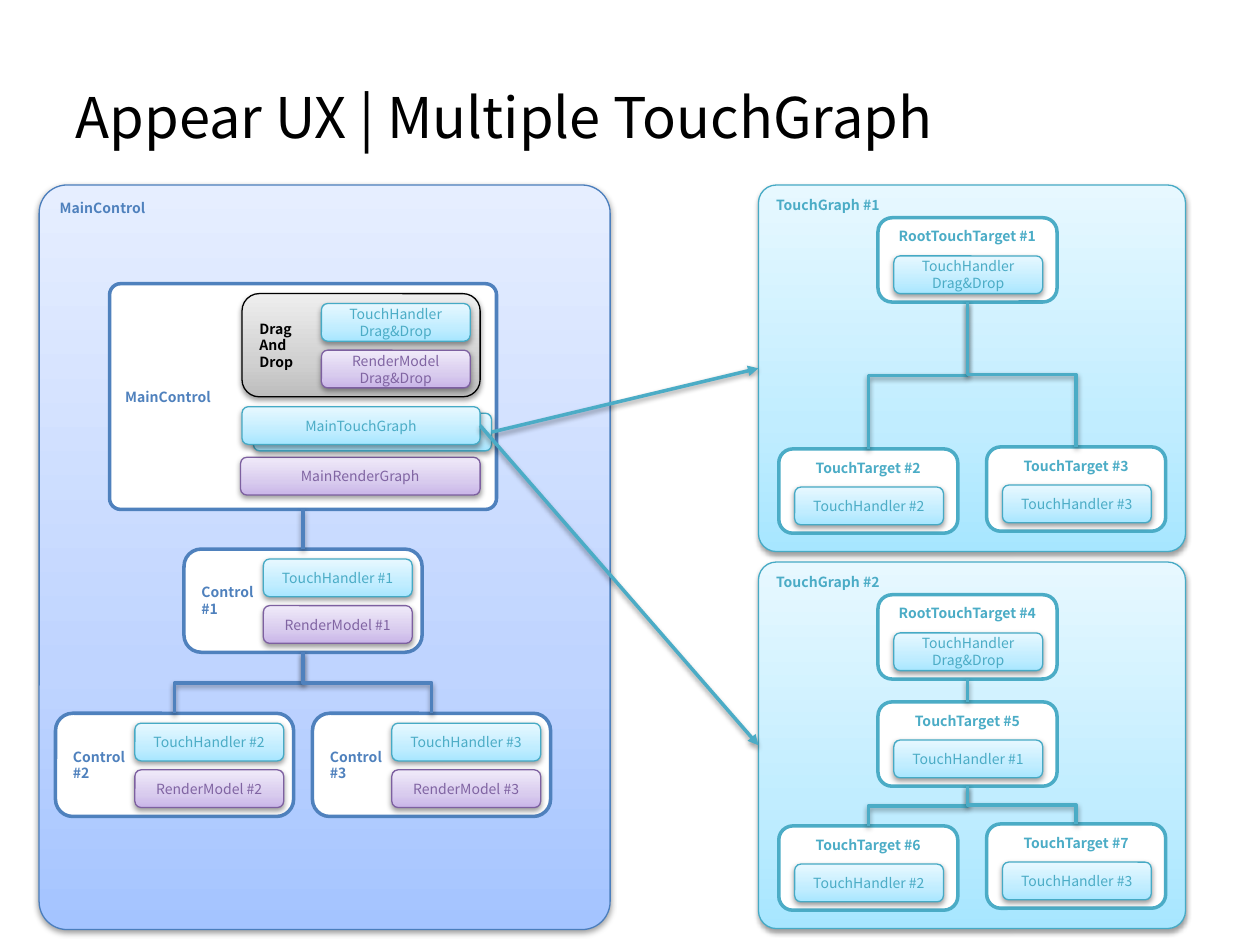
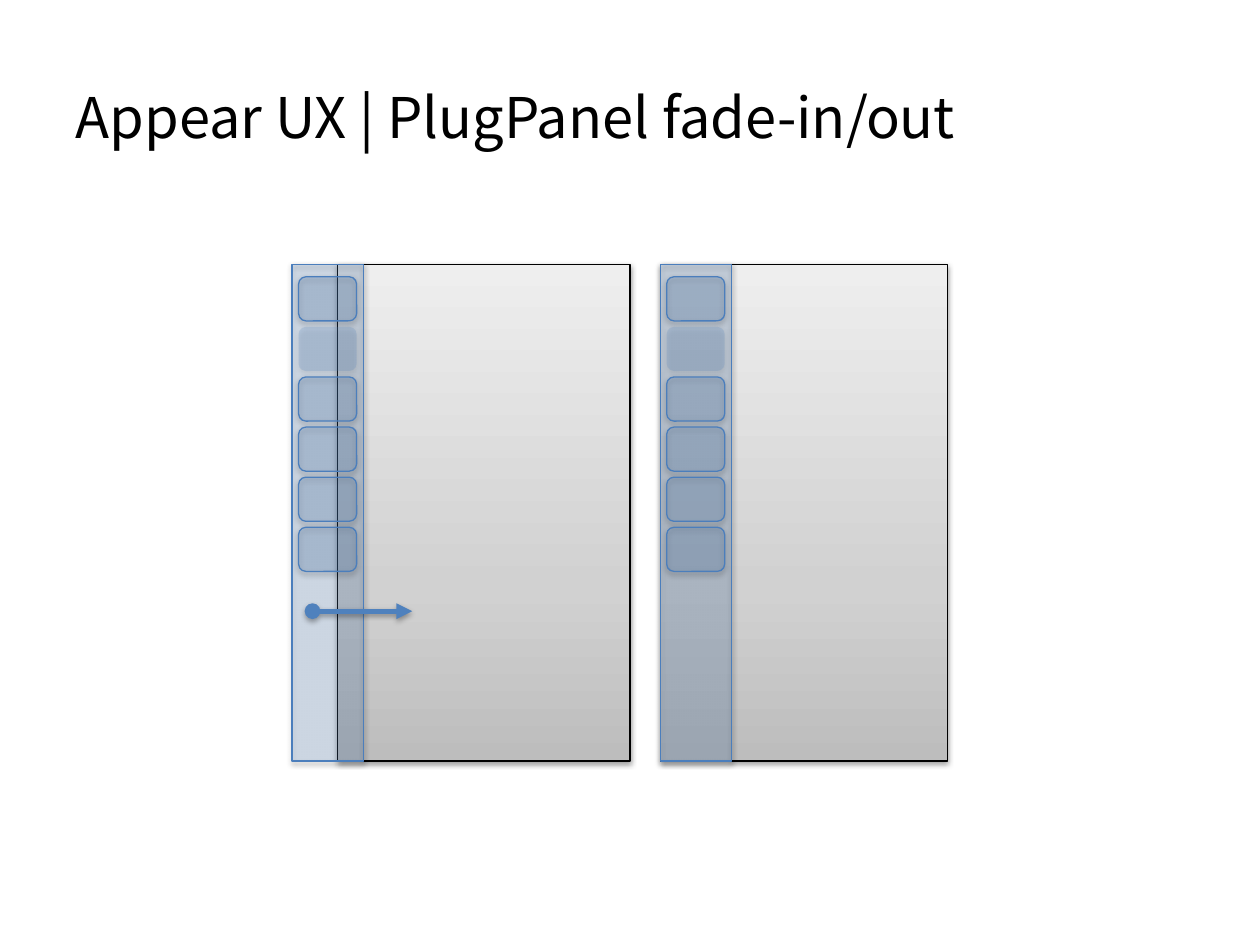
"""Builds two slides on touch graphs and the fading plug panel."""
from lxml.etree import SubElement
from pptx import Presentation
from pptx.dml.color import RGBColor
from pptx.enum.shapes import MSO_CONNECTOR as Connector, MSO_SHAPE as Shape
from pptx.enum.text import MSO_ANCHOR as Anchor, PP_ALIGN as Align
from pptx.oxml.ns import qn
from pptx.util import Cm, Pt

FONT = "Noto Sans CJK KR"
COLORS = {
    "black": "000000", "white": "FFFFFF",
    "blue": "4F81BD", "blue_edge": "4B7EBC",
    "teal": "4BACC6", "teal_edge": "46AAC5",
    "purple": "8064A2", "purple_edge": "7D60A0",
}
GRADIENTS = {
    "blue": ("A4C4FF", "BFD4FF", "E6EEFF"),
    "teal": ("A7E6FF", "C1EDFF", "E7F8FF"),
    "purple": ("C9B5E8", "D8CBEE", "F0EAF9"),
    "black": ("BDBDBD", "D1D1D1", "EEEEEE"),
}
STOPS = (0, 35, 100)
PANEL_CORNER = 0.049
BOTTOM, LEFT, RIGHT, TOP = 2, 1, 3, 0
CONTROL_SIZE = (4.8, 2.08)
TARGET_SIZE = (3.61, 1.7)
CHIP_WIDTH, CHIP_HEIGHT = 3, 0.76


def rgb(name):
    return RGBColor.from_string(COLORS[name])


def add_shadow(shape, opacity=38):
    properties = shape._element.spPr
    effects = properties.find(qn("a:effectLst"))
    if effects is None:
        effects = SubElement(properties, qn("a:effectLst"))
    shadow = SubElement(effects, qn("a:outerShdw"), blurRad="40000", dist="20000",
                        dir="5400000", rotWithShape="0")
    color = SubElement(shadow, qn("a:srgbClr"), val=COLORS["black"])
    SubElement(color, qn("a:alpha"), val=str(opacity * 1000))


def fill_gradient(shape, name):
    shape.fill.gradient()
    shape.fill.gradient_angle = 90
    stop_list = shape._element.spPr.find(".//" + qn("a:gsLst"))
    stop_list.clear()
    for position, color in zip(STOPS, GRADIENTS[name]):
        stop = SubElement(stop_list, qn("a:gs"), pos=str(position * 1000))
        SubElement(stop, qn("a:srgbClr"), val=color)


def fill_solid(shape, name, opacity=100):
    shape.fill.solid()
    shape.fill.fore_color.rgb = rgb(name)
    if opacity < 100:
        color = shape._element.spPr.find(".//" + qn("a:srgbClr"))
        SubElement(color, qn("a:alpha"), val=str(opacity * 1000))


def add_outlined(shapes, kind, box, edge, width=0.75):
    shape = shapes.add_shape(kind, *map(Cm, box))
    shape.shadow.inherit = False
    if edge:
        shape.line.color.rgb = rgb(edge)
        shape.line.width = Pt(width)
    else:
        shape.line.fill.background()
    return shape


def write(shape, text, color, size=8, bold=False, align=Align.LEFT, anchor=Anchor.MIDDLE):
    frame = shape.text_frame
    frame.text = text
    frame.vertical_anchor = anchor
    for paragraph in frame.paragraphs:
        paragraph.alignment = align
        for run in paragraph.runs:
            run.font.name = FONT
            run.font.size = Pt(size)
            run.font.bold = bold
            run.font.color.rgb = rgb(color)


def add_titled_slide(presentation, title):
    slide = presentation.slides.add_slide(presentation.slide_layouts[5])
    placeholder = slide.shapes.title
    placeholder.left, placeholder.top = Cm(1.27), Cm(0.76)
    placeholder.width, placeholder.height = Cm(22.86), Cm(3.17)
    write(placeholder, title, "black", size=32)
    return slide


def add_panel(shapes, box, text, color):
    panel = add_outlined(shapes, Shape.ROUNDED_RECTANGLE, box, color + "_edge")
    panel.adjustments[0] = PANEL_CORNER
    fill_gradient(panel, color)
    add_shadow(panel)
    write(panel, text, color, bold=True, anchor=Anchor.TOP)
    return panel


def add_chip(shapes, left, top, text, color, width=CHIP_WIDTH):
    chip = add_outlined(shapes, Shape.ROUNDED_RECTANGLE, (left, top, width, CHIP_HEIGHT),
                        color + "_edge")
    fill_gradient(chip, color)
    add_shadow(chip)
    write(chip, text, color, align=Align.CENTER)
    return chip


def add_frame(shapes, box, text, color, **text_format):
    frame = add_outlined(shapes, Shape.ROUNDED_RECTANGLE, box, color, 2)
    fill_solid(frame, "white")
    write(frame, text, color, bold=True, **text_format)
    return frame


def add_handler_and_model(shapes, left, top, handler, model):
    add_chip(shapes, left + 1.6, top + 0.2, handler, "teal")
    add_chip(shapes, left + 1.6, top + 1.14, model, "purple")


def add_control(shapes, left, top, number):
    control = add_frame(shapes, (left, top, *CONTROL_SIZE), f"Control\n#{number}", "blue")
    add_handler_and_model(shapes, left, top, f"TouchHandler #{number}",
                          f"RenderModel #{number}")
    return control


def add_target(shapes, left, top, text, handler):
    target = add_frame(shapes, (left, top, *TARGET_SIZE), text, "teal",
                       align=Align.CENTER, anchor=Anchor.TOP)
    add_chip(shapes, left + 0.32, top + 0.77, handler, "teal")
    return target


def style_connector(connector, color, width=2, opacity=38, **arrowheads):
    connector.line.color.rgb = rgb(color)
    connector.line.width = Pt(width)
    for end, kind in arrowheads.items():
        SubElement(connector.line._get_or_add_ln(), qn(f"a:{end}End"), type=kind)
    add_shadow(connector, opacity)


def join(shapes, start, start_side, finish, finish_side, kind=Connector.STRAIGHT):
    connector = shapes.add_connector(kind, 0, 0, 0, 0)
    connector.begin_connect(start, start_side)
    connector.end_connect(finish, finish_side)
    return connector


def add_branch(shapes, parent, child, color):
    """Joins parent to child below, turning the elbow so it leaves downwards."""
    across = child.left + child.width // 2 - parent.left - parent.width // 2
    kind = Connector.ELBOW if abs(across) > Cm(0.1) else Connector.STRAIGHT
    branch = join(shapes, parent, BOTTOM, child, TOP, kind)
    if kind == Connector.ELBOW:
        span, drop = branch.width, branch.height
        branch.left += (span - drop) // 2
        branch.top += (drop - span) // 2
        branch.width, branch.height = drop, span
        transform = branch._element.spPr.find(qn("a:xfrm"))
        transform.set("rot", str((270 if across > 0 else 90) * 60000))
        transform.set("flipH", "1" if across > 0 else "0")
    style_connector(branch, color)


def add_main_control(shapes):
    add_panel(shapes, (0.79, 3.73, 11.51, 15.01), "MainControl", "blue")
    main = add_frame(shapes, (2.21, 5.72, 7.8, 4.55), "MainControl", "blue")
    main.adjustments[0] = PANEL_CORNER
    left, top = 4.88, 5.92
    drag = add_outlined(shapes, Shape.ROUNDED_RECTANGLE, (left, top, *CONTROL_SIZE), "black")
    fill_gradient(drag, "black")
    add_shadow(drag)
    write(drag, "Drag\nAnd\nDrop", "black", bold=True)
    add_handler_and_model(shapes, left, top, "TouchHandler\nDrag&Drop",
                          "RenderModel Drag&Drop")
    add_chip(shapes, 4.85, 9.22, "MainRenderGraph", "purple", 4.83)
    graphs = [add_chip(shapes, x, y, "MainTouchGraph", "teal", CONTROL_SIZE[0])
              for x, y in ((5.11, 8.33), (left, 8.2))]

    first = add_control(shapes, 3.71, 11.07, 1)
    add_branch(shapes, main, first, "blue")
    for number, x in ((2, 1.12), (3, 6.3)):
        add_branch(shapes, first, add_control(shapes, x, 14.38, number), "blue")
    return graphs


def add_touch_graph(shapes, number, top, root_number, middle_number=None):
    left = 15.29
    panel = add_panel(shapes, (left, top, 8.61, 7.39), f"TouchGraph #{number}", "teal")
    parent = add_target(shapes, left + 2.41, top + 0.66, f"RootTouchTarget #{root_number}",
                        "TouchHandler\nDrag&Drop")
    leaf_number = root_number + 1
    if middle_number:
        middle = add_target(shapes, left + 2.41, top + 2.82,
                            f"TouchTarget #{middle_number}", "TouchHandler #1")
        add_branch(shapes, parent, middle, "teal")
        parent, leaf_number = middle, middle_number + 1
    for index, (x, y) in enumerate(((0.41, 5.32), (4.6, 5.28))):
        leaf = add_target(shapes, left + x, top + y, f"TouchTarget #{leaf_number + index}",
                          f"TouchHandler #{index + 2}")
        add_branch(shapes, parent, leaf, "teal")
    return panel


def add_glass(shapes, kind, box, edge="blue_edge"):
    glass = add_outlined(shapes, kind, box, edge)
    fill_solid(glass, "blue", 20)
    add_shadow(glass)


def add_plug_screen(slide, screen_left, screen_width, plug_left):
    top, height = 5.33, 10.01
    shapes = slide.shapes.add_group_shape().shapes
    screen = add_outlined(shapes, Shape.RECTANGLE, (screen_left, top, screen_width, height),
                          "black")
    fill_gradient(screen, "black")
    add_shadow(screen)
    add_glass(shapes, Shape.RECTANGLE, (plug_left, top, 1.44, height))
    for row in range(6):
        add_glass(shapes, Shape.ROUNDED_RECTANGLE,
                  (plug_left + 0.13, top + 0.25 + row * 1.01, 1.17, 0.89),
                  None if row == 1 else "blue_edge")


def build_touch_graph_slide(presentation):
    shapes = add_titled_slide(presentation, "Appear UX | Multiple TouchGraph").shapes
    graphs = add_main_control(shapes)
    panels = [add_touch_graph(shapes, 1, 3.73, 1),
              add_touch_graph(shapes, 2, 11.33, 4, middle_number=5)]
    for graph, panel in zip(graphs, panels):
        style_connector(join(shapes, graph, RIGHT, panel, LEFT), "teal", tail="triangle")


def build_plug_panel_slide(presentation):
    slide = add_titled_slide(presentation, "Appear UX | PlugPanel fade-in/out")
    add_plug_screen(slide, 6.81, 5.89, 5.89)
    add_plug_screen(slide, 13.31, 5.79, 13.31)
    swipe = slide.shapes.add_connector(Connector.STRAIGHT, Cm(6.3), Cm(12.32),
                                       Cm(8.31), Cm(12.32))
    style_connector(swipe, "blue", 3, 35, head="oval", tail="triangle")


def main():
    presentation = Presentation()
    presentation.slide_width, presentation.slide_height = Cm(25.4), Cm(19.05)
    build_touch_graph_slide(presentation)
    build_plug_panel_slide(presentation)
    presentation.save("out.pptx")


if __name__ == "__main__":
    main()
